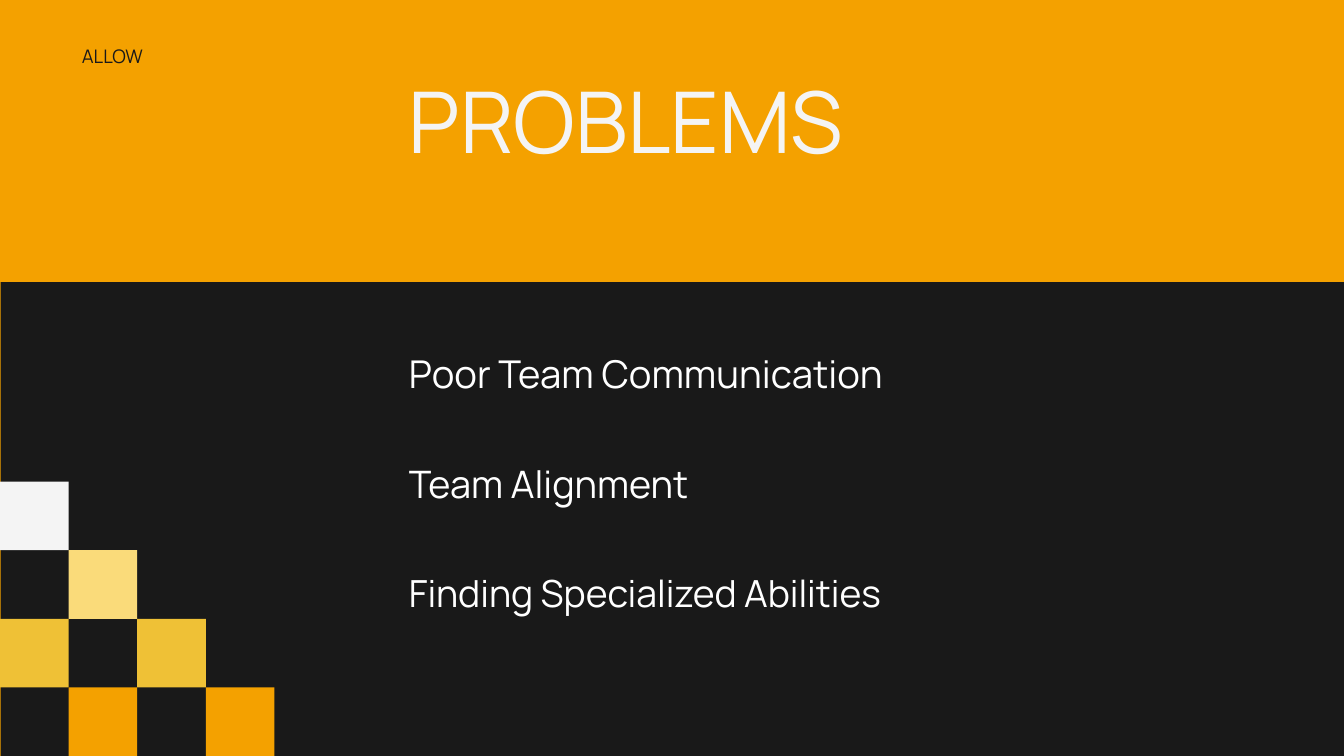
"""Build the PROBLEMS slide with its list and stepped checkerboard."""
from dataclasses import dataclass

import pptx
import pptx.dml.color
import pptx.enum.shapes
import pptx.enum.text
import pptx.util

PX = 9525
WIDTH, HEIGHT = 1920, 1080
TILE = 98


@dataclass(frozen=True)
class Theme:
    font: str = "Manrope"
    orange: str = "F4A100"
    gold: str = "EFC136"
    cream: str = "FADB7A"
    pale: str = "F4F4F4"
    dark: str = "191919"
    white: str = "FFFFFF"
    title_size: float = 91.2
    label_size: float = 20
    item_sizes: tuple[float, ...] = (41, 40.5, 40)


@dataclass(frozen=True)
class Box:
    left: int
    top: int
    width: int
    height: int

    def emu(self) -> tuple[int, int, int, int]:
        return self.left * PX, self.top * PX, self.width * PX, self.height * PX


@dataclass(frozen=True)
class Label:
    text: str
    box: Box
    size: float
    color: str
    leading: float = 1.4


@dataclass(frozen=True)
class Tile:
    column: int
    row: int
    color: str


THEME = Theme()
TITLE = Label("PROBLEMS", Box(584, 98, 810, 155), THEME.title_size, THEME.pale, 1.2)
BRAND = Label("ALLOW", Box(117, 58, 287, 36), THEME.label_size, THEME.dark)
PANEL = Box(1, 403, WIDTH - 1, HEIGHT - 403)
PROBLEMS = ("Poor Team Communication", "Team Alignment", "Finding Specialized Abilities")
ITEMS = [
    Label(text, Box(584, 490 + 157 * i, 938, 77), size, THEME.white)
    for i, (text, size) in enumerate(zip(PROBLEMS, THEME.item_sizes))
]
TILES = (
    Tile(0, 4, THEME.pale),
    Tile(1, 3, THEME.cream),
    Tile(0, 2, THEME.gold),
    Tile(2, 2, THEME.gold),
    Tile(1, 1, THEME.orange),
    Tile(3, 1, THEME.orange),
)


def rgb(color: str) -> pptx.dml.color.RGBColor:
    """Turn a hex string into a colour."""
    return pptx.dml.color.RGBColor.from_string(color)


def draw_rect(slide: pptx.slide.Slide, box: Box, color: str) -> None:
    """Draw a plain filled rectangle."""
    sp = slide.shapes.add_shape(pptx.enum.shapes.MSO_SHAPE.RECTANGLE, *box.emu())
    sp.shadow.inherit = False
    sp.fill.solid()
    sp.fill.fore_color.rgb = rgb(color)
    sp.line.fill.background()


def write_label(sp: pptx.shapes.autoshape.Shape, label: Label) -> None:
    """Place a text shape and set its wording and format."""
    sp.left, sp.top, sp.width, sp.height = label.box.emu()
    tf = sp.text_frame
    tf.text = label.text
    tf.word_wrap = True
    tf.auto_size = pptx.enum.text.MSO_AUTO_SIZE.NONE
    tf.vertical_anchor = pptx.enum.text.MSO_ANCHOR.TOP
    tf.margin_left = tf.margin_top = tf.margin_right = tf.margin_bottom = 0
    p = tf.paragraphs[0]
    p.alignment = pptx.enum.text.PP_ALIGN.LEFT
    p.line_spacing = pptx.util.Pt(round(label.size * label.leading, 1))
    font = p.runs[0].font
    font.name = THEME.font
    font.size = pptx.util.Pt(label.size)
    font.color.rgb = rgb(label.color)


def main() -> None:
    """Build and save the slide."""
    prs = pptx.Presentation()
    prs.slide_width, prs.slide_height = WIDTH * PX, HEIGHT * PX
    s = prs.slides.add_slide(prs.slide_layouts.get_by_name("Title Only"))
    s.background.fill.solid()
    s.background.fill.fore_color.rgb = rgb(THEME.orange)

    write_label(s.shapes.title, TITLE)
    draw_rect(s, PANEL, THEME.dark)
    for tile in TILES:
        box = Box(tile.column * TILE, HEIGHT - tile.row * TILE, TILE, TILE)
        draw_rect(s, box, tile.color)
    for label in (BRAND, *ITEMS):
        write_label(s.shapes.add_textbox(*label.box.emu()), label)

    prs.save("out.pptx")


if __name__ == "__main__":
    main()
